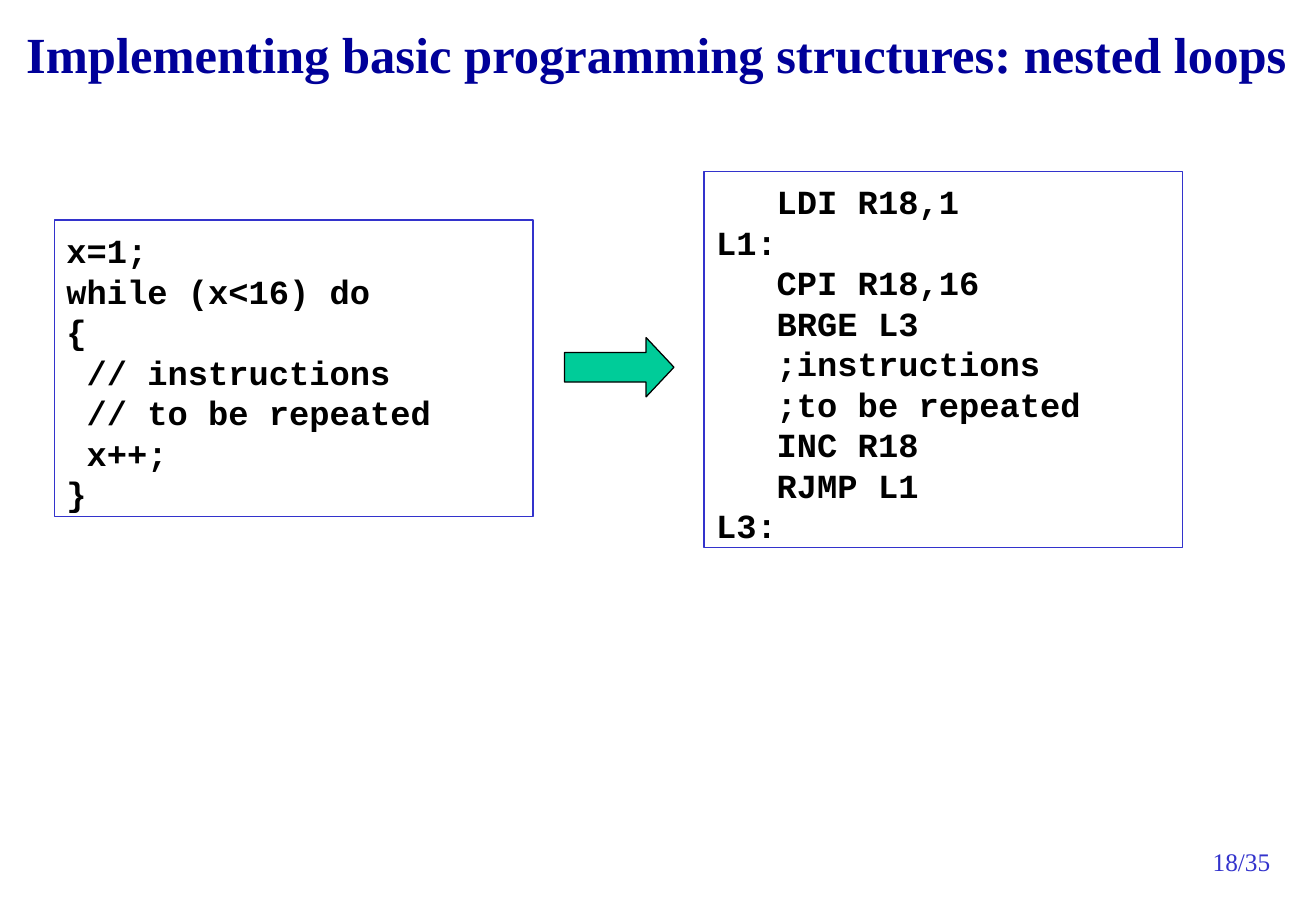
import pptx
import pptx.dml.color
import pptx.enum.shapes
import pptx.enum.text
import pptx.util

Cm = pptx.util.Cm
Pt = pptx.util.Pt
SHAPES = pptx.enum.shapes.MSO_SHAPE

CODE_SIZE = 20
CODE_CHARACTER = Pt(CODE_SIZE * 0.6)
CODE_LINE = Pt(CODE_SIZE * 1.2)
PANEL_WIDTH = 10.01

LOOP_SOURCE = [
    (0, "x=1;"),
    (0, "while (x<16) do"),
    (0, "{"),
    (1, "// instructions"),
    (1, "// to be repeated"),
    (1, "x++;"),
    (0, "}"),
]
LOOP_ASSEMBLY = [
    (3, "LDI R18,1"),
    (0, "L1:"),
    (3, "CPI R18,16"),
    (3, "BRGE L3"),
    (3, ";instructions"),
    (3, ";to be repeated"),
    (3, "INC R18"),
    (3, "RJMP L1"),
    (0, "L3:"),
]


def color(value):
    return pptx.dml.color.RGBColor.from_string(value)


def style_font(paragraph, name, size, value, bold=False):
    for run in paragraph.runs:
        run.font.name = name
        run.font.size = Pt(size)
        run.font.bold = bold
        run.font.color.rgb = color(value)


def set_frame(frame, left, top, right, bottom):
    frame.word_wrap = True
    frame.vertical_anchor = pptx.enum.text.MSO_ANCHOR.TOP
    frame.margin_left, frame.margin_top = Cm(left), Cm(top)
    frame.margin_right, frame.margin_bottom = Cm(right), Cm(bottom)


def add_label(slide, text, box, insets, size, value, bold=False):
    label = slide.shapes.add_textbox(*map(Cm, box))
    set_frame(label.text_frame, *insets)
    label.text_frame.text = text
    style_font(label.text_frame.paragraphs[0], "Times New Roman", size, value, bold)
    return label


def add_code_panel(slide, lines, left, top, height):
    panel = slide.shapes.add_shape(
        SHAPES.RECTANGLE, Cm(left), Cm(top), Cm(PANEL_WIDTH), Cm(height)
    )
    panel.shadow.inherit = False
    panel.fill.background()
    panel.line.color.rgb = color("3333CC")
    panel.line.width = Pt(0.75)
    frame = panel.text_frame
    set_frame(frame, 0.25, 0.21, 0.25, 0.04)
    frame.text = "\n".join(text for _, text in lines)
    for paragraph, (indent, _) in zip(frame.paragraphs, lines):
        paragraph.alignment = pptx.enum.text.PP_ALIGN.LEFT
        paragraph.line_spacing = CODE_LINE
        paragraph._p.get_or_add_pPr().set("marL", str(indent * CODE_CHARACTER))
        style_font(paragraph, "Courier New", CODE_SIZE, "000000", bold=True)


def add_translation_arrow(slide, left, top, width, height):
    arrow = slide.shapes.add_shape(
        SHAPES.RIGHT_ARROW, Cm(left), Cm(top), Cm(width), Cm(height)
    )
    arrow.shadow.inherit = False
    arrow.adjustments[0] = 0.5
    arrow.adjustments[1] = 0.47
    arrow.fill.solid()
    arrow.fill.fore_color.rgb = color("00CC99")
    arrow.line.color.rgb = color("000000")
    arrow.line.width = Pt(0.75)


def main():
    presentation = pptx.Presentation()
    presentation.slide_width = Cm(27.53)
    presentation.slide_height = Cm(19.05)
    slide = presentation.slides.add_slide(presentation.slide_layouts[6])

    add_label(slide, "18/35", (25.37, 17.65, 1.88, 0.89),
              (0, 0.05, 0, 0), 15, "3333CC")
    title = add_label(
        slide, "Implementing basic programming structures: nested loops",
        (0.3, 0.25, 27.23, 1.22), (0.25, 0.23, 0.25, 0), 30, "000099", bold=True)
    title.fill.solid()
    title.fill.fore_color.rgb = color("FFFFFF")

    add_code_panel(slide, LOOP_SOURCE, 1.14, 4.6, 6.2)
    add_code_panel(slide, LOOP_ASSEMBLY, 14.73, 3.58, 7.87)
    add_translation_arrow(slide, 11.81, 7.06, 2.29, 1.24)

    presentation.save("out.pptx")


if __name__ == "__main__":
    main()
